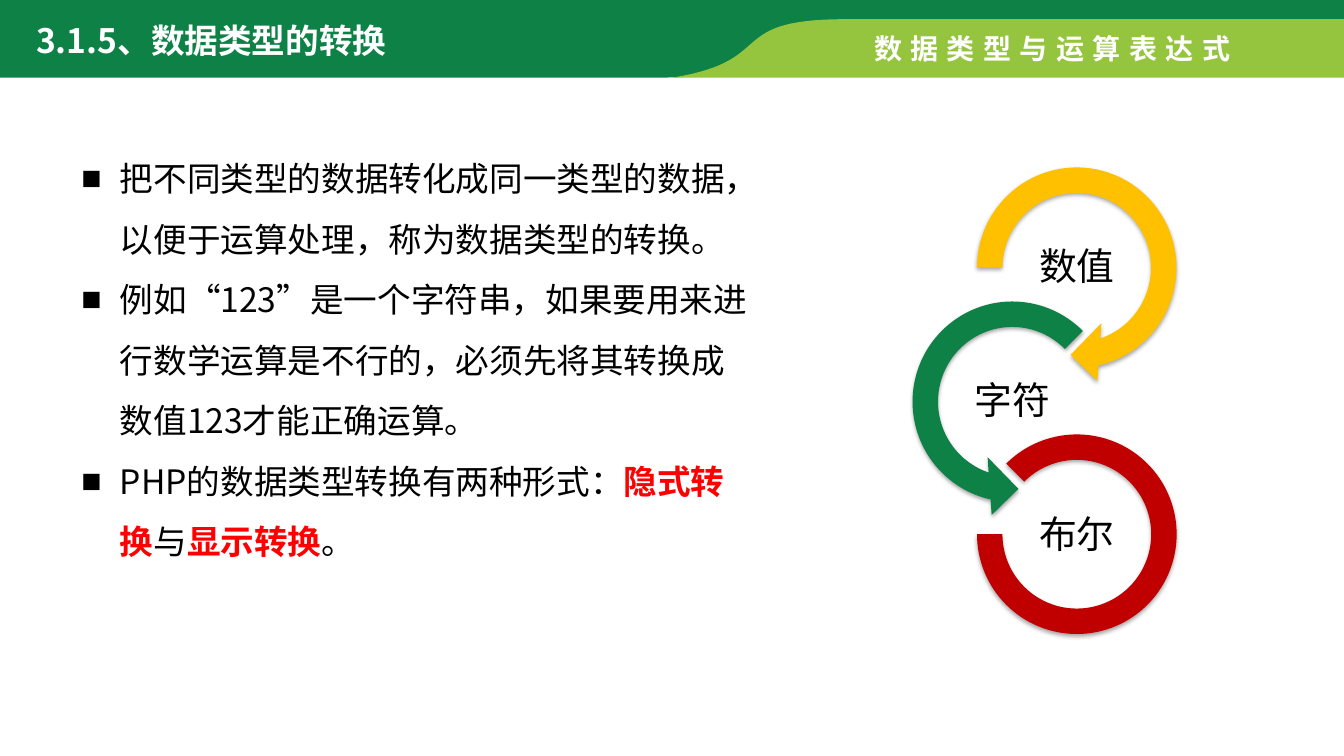
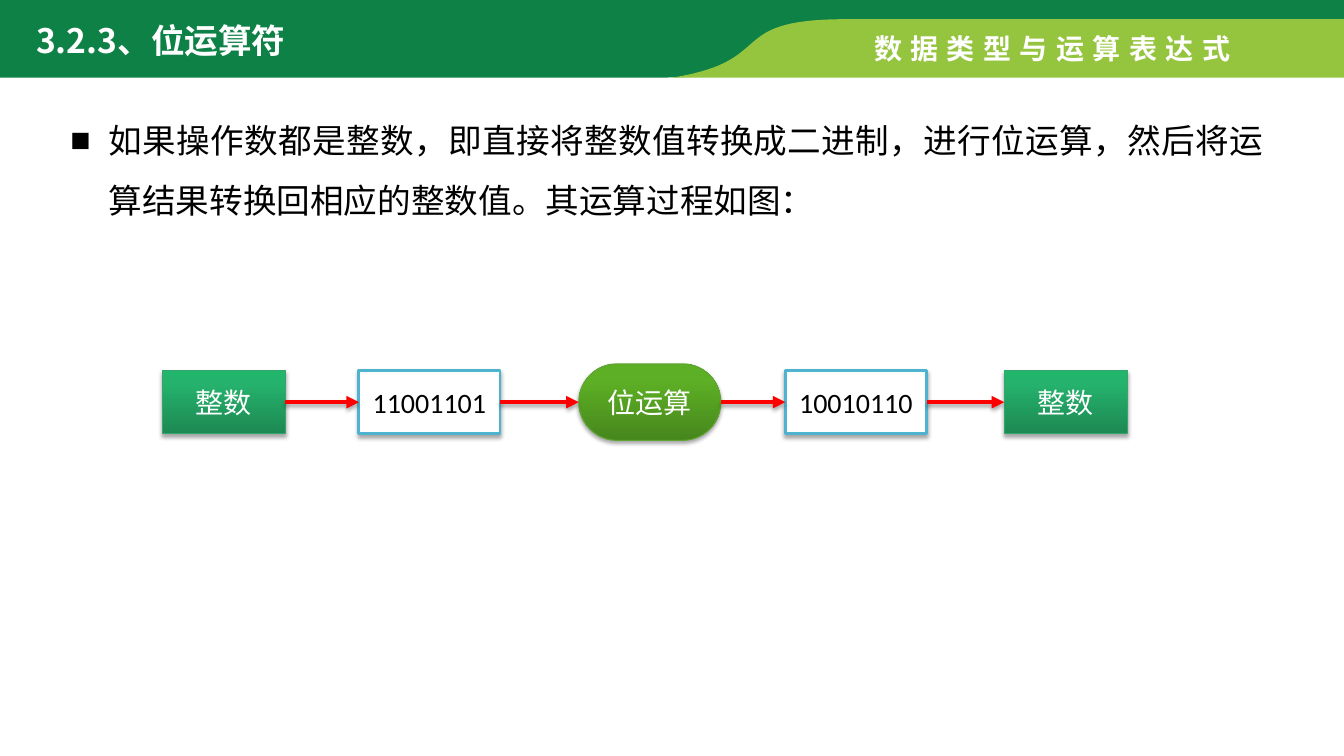
import copy
import itertools
from dataclasses import dataclass
from typing import Any, Optional

import lxml.etree
import pptx
import pptx.dml.color
import pptx.enum.shapes
import pptx.enum.text
import pptx.oxml.ns
import pptx.util

Inches = pptx.util.Inches
qn = pptx.oxml.ns.qn
SHAPES = pptx.enum.shapes.MSO_SHAPE
ALIGN = pptx.enum.text.PP_ALIGN
ANCHOR = pptx.enum.text.MSO_ANCHOR
Point = tuple[float, float]

COLORS = {
    "band": "0E8146",
    "wave": "95C53E",
    "white": "FFFFFF",
    "black": "000000",
    "red": "FF0000",
    "amber": "FFC000",
    "crimson": "C00000",
    "integer_edge": "33A66D",
    "binary_edge": "4EB3CF",
    "operator_edge": "60A433",
}
INTEGER_STOPS = ((0, "1D8953"), (0.8, "25B26C"), (1, "22B66C"))
OPERATOR_STOPS = ((0, "47871D"), (0.8, "5DB025"), (1, "5DB323"))
CJK_FONT = "Noto Sans CJK SC"
CHAPTER = "数据类型与运算表达式"
SLIDE_WIDTH, SLIDE_HEIGHT = 13.33, 7.5
BAND_BOTTOM = 0.77
FLOW_MIDDLE = 3.99


@dataclass(frozen=True)
class TextStyle:
    size: float
    font: str
    color: Optional[str] = "black"
    bold: Optional[bool] = None
    align: Optional[Any] = None
    line_spacing: Optional[float] = None
    tracking: float = 0


@dataclass(frozen=True)
class Ring:
    caption: str
    preset: Any
    color: str
    box: tuple[float, float, float, float]
    adjustments: tuple[float, ...]
    caption_at: Point


@dataclass(frozen=True)
class NodeKind:
    preset: Any
    width: float
    height: float
    edge: str
    edge_width: float
    text_color: str
    stops: tuple[tuple[float, str], ...] = ()


@dataclass(frozen=True)
class Node:
    label: str
    left: float
    kind: NodeKind


TITLE = TextStyle(24, CJK_FONT, "white", bold=True)
CHAPTER_STYLE = TextStyle(20, "Arial", "white", bold=True, tracking=6)
BODY = TextStyle(24, CJK_FONT, line_spacing=1.5)
BODY_MIXED = TextStyle(24, CJK_FONT, None, line_spacing=1.5)
BODY_JUSTIFIED = TextStyle(24, CJK_FONT, align=ALIGN.JUSTIFY, line_spacing=1.5)
RING_CAPTION = TextStyle(27, "Arial", align=ALIGN.CENTER, line_spacing=0.9)

RINGS = (
    Ring("数值", SHAPES.CIRCULAR_ARROW, "amber", (9.53, 1.5, 2.3, 2.31),
         (0.1098, 11.42322, 45, 108, 0.125), (10.04, 2.34)),
    Ring("字符", SHAPES.LEFT_CIRCULAR_ARROW, "band", (8.89, 2.83, 2.3, 2.31),
         (0.1098, 11.42322, 63, 189, 0.125), (9.4, 3.67)),
    Ring("布尔", SHAPES.BLOCK_ARC, "crimson", (9.69, 4.31, 1.98, 1.98),
         (135, 108, 0.1274), (10.04, 5)),
)

INTEGER = NodeKind(SHAPES.RECTANGLE, 1.22, 0.63, "integer_edge", 0.75, "white", INTEGER_STOPS)
BINARY = NodeKind(SHAPES.RECTANGLE, 1.4, 0.63, "binary_edge", 2, "black")
OPERATOR = NodeKind(SHAPES.ROUNDED_RECTANGLE, 1.41, 0.76, "operator_edge", 0.75, "white",
                    OPERATOR_STOPS)
FLOW = (
    Node("整数", 1.61, INTEGER),
    Node("11001101", 3.56, BINARY),
    Node("位运算", 5.74, OPERATOR),
    Node("10010110", 7.79, BINARY),
    Node("整数", 9.96, INTEGER),
)


def rgb(name: str) -> pptx.dml.color.RGBColor:
    return pptx.dml.color.RGBColor.from_string(COLORS.get(name, name))


def style_paragraph(paragraph: Any, style: TextStyle) -> None:
    font = paragraph.font
    font.size = pptx.util.Pt(style.size)
    font.name = style.font
    font.bold = style.bold
    if style.color:
        font.color.rgb = rgb(style.color)
    if style.align is not None:
        paragraph.alignment = style.align
    if style.line_spacing:
        paragraph.line_spacing = style.line_spacing
    defaults = paragraph._p.get_or_add_pPr().get_or_add_defRPr()
    if style.tracking:
        defaults.set("spc", str(round(style.tracking * 100)))
    if style.font == CJK_FONT:
        lxml.etree.SubElement(defaults, qn("a:ea"), typeface=style.font)


def add_bullet(paragraph: Any) -> None:
    properties = paragraph._p.get_or_add_pPr()
    properties.set("marL", str(Inches(0.38)))
    properties.set("indent", str(-Inches(0.38)))
    lxml.etree.SubElement(properties, qn("a:buFont"), typeface="Arial")
    lxml.etree.SubElement(properties, qn("a:buChar"), char="■")


def add_text(slide: Any, text: str, left: float, top: float, width: float, height: float,
             style: TextStyle, wrap: bool = True) -> Any:
    frame = slide.shapes.add_textbox(
        Inches(left), Inches(top), Inches(width), Inches(height)).text_frame
    frame.word_wrap = wrap
    frame.text = text
    style_paragraph(frame.paragraphs[0], style)
    return frame


def add_bullets(slide: Any, items: list[str], left: float, top: float, width: float,
                height: float, style: TextStyle) -> Any:
    frame = add_text(slide, "\n".join(items), left, top, width, height, style)
    frame.auto_size = pptx.enum.text.MSO_AUTO_SIZE.SHAPE_TO_FIT_TEXT
    for paragraph in frame.paragraphs:
        properties = paragraph._p.get_or_add_pPr()
        for child in list(properties):
            properties.remove(child)
        add_bullet(paragraph)
        style_paragraph(paragraph, style)
    return frame


def add_shadow(shape: Any) -> None:
    properties = shape._element.spPr
    effects = properties.find(qn("a:effectLst"))
    if effects is None:
        effects = lxml.etree.SubElement(properties, qn("a:effectLst"))
    shadow = lxml.etree.SubElement(
        effects, qn("a:outerShdw"), blurRad=str(pptx.util.Pt(3.1)),
        dist=str(pptx.util.Pt(1.8)), dir="5400000", rotWithShape="0")
    color = lxml.etree.SubElement(shadow, qn("a:srgbClr"), val=COLORS["black"])
    lxml.etree.SubElement(color, qn("a:alpha"), val="35000")


def bezier(start: Point, first: Point, second: Point, end: Point, steps: int = 30) -> list[Point]:
    def blend(axis: int, t: float) -> float:
        u = 1 - t
        return (u ** 3 * start[axis] + 3 * u * u * t * first[axis]
                + 3 * u * t * t * second[axis] + t ** 3 * end[axis])

    return [(blend(0, i / steps), blend(1, i / steps)) for i in range(steps + 1)]


def add_outline(slide: Any, points: list[Point], color: str) -> None:
    corners = [(Inches(x), Inches(y)) for x, y in points]
    builder = slide.shapes.build_freeform(*corners[0])
    builder.add_line_segments(corners[1:], close=True)
    outline = builder.convert_to_shape()
    outline.shadow.inherit = False
    outline.fill.solid()
    outline.fill.fore_color.rgb = rgb(color)
    outline.line.fill.background()


def add_titled_slide(deck: Any, title: str) -> Any:
    slide = deck.slides.add_slide(deck.slide_layouts[6])
    band_curve = bezier((8.09, 0.28), (7.27, 0.44), (7.7, 0.77), (6.55, BAND_BOTTOM))
    add_outline(slide, [(0, 0), (SLIDE_WIDTH, 0), (SLIDE_WIDTH, 0.24), (8.27, 0.24),
                        *band_curve, (0, BAND_BOTTOM)], "band")
    wave_curve = bezier((6.67, BAND_BOTTOM), (7.73, 0.6), (7.17, 0.19), (8.39, 0.19))
    add_outline(slide, [*wave_curve, (SLIDE_WIDTH, 0.19), (SLIDE_WIDTH, BAND_BOTTOM)], "wave")
    add_text(slide, CHAPTER, 8.57, 0.26, 3.85, 0.44, CHAPTER_STYLE, wrap=False)
    add_text(slide, title, 0.26, 0.15, 3.77, 0.5, TITLE)
    return slide


def add_ring(slide: Any, ring: Ring) -> None:
    arc = slide.shapes.add_shape(ring.preset, *(Inches(length) for length in ring.box))
    for index, value in enumerate(ring.adjustments):
        arc.adjustments[index] = value
    arc.shadow.inherit = False
    arc.fill.solid()
    arc.fill.fore_color.rgb = rgb(ring.color)
    arc.line.fill.background()
    add_shadow(arc)
    frame = add_text(slide, ring.caption, *ring.caption_at, 1.28, 0.64, RING_CAPTION)
    frame.vertical_anchor = ANCHOR.MIDDLE
    frame.margin_left = frame.margin_right = Inches(0.02)
    frame.margin_top = frame.margin_bottom = Inches(0.02)


def add_node(slide: Any, node: Node) -> Any:
    kind = node.kind
    box = slide.shapes.add_shape(
        kind.preset, Inches(node.left), Inches(FLOW_MIDDLE - kind.height / 2),
        Inches(kind.width), Inches(kind.height))
    if kind.preset == SHAPES.ROUNDED_RECTANGLE:
        box.adjustments[0] = 0.5
    box.shadow.inherit = False
    if kind.stops:
        box.fill.gradient()
        box.fill.gradient_angle = 90
        stop_list = box._element.spPr.find(".//" + qn("a:gsLst"))
        stop_list.append(copy.deepcopy(stop_list[-1]))
        for stop, (position, color) in zip(box.fill.gradient_stops, kind.stops):
            stop.position = position
            stop.color.rgb = rgb(color)
    else:
        box.fill.solid()
        box.fill.fore_color.rgb = rgb("white")
    box.line.color.rgb = rgb(kind.edge)
    box.line.width = pptx.util.Pt(kind.edge_width)
    add_shadow(box)
    frame = box.text_frame
    frame.text = node.label
    frame.vertical_anchor = ANCHOR.MIDDLE
    style_paragraph(frame.paragraphs[0],
                    TextStyle(20, "Calibri", kind.text_color, align=ALIGN.CENTER))
    return box


def add_arrow(slide: Any, source: Any, target: Any) -> None:
    arrow = slide.shapes.add_connector(pptx.enum.shapes.MSO_CONNECTOR.STRAIGHT, 0, 0, 0, 0)
    arrow.begin_connect(source, 3)
    arrow.end_connect(target, 1)
    arrow.line.color.rgb = rgb("red")
    arrow.line.width = pptx.util.Pt(3)
    lxml.etree.SubElement(arrow.line._get_or_add_ln(), qn("a:tailEnd"), type="triangle")
    add_shadow(arrow)


def build_conversion(deck: Any) -> None:
    slide = add_titled_slide(deck, "3.1.5、数据类型的转换")
    frame = add_bullets(slide, [
        "把不同类型的数据转化成同一类型的数据，以便于运算处理，称为数据类型的转换。",
        "例如“123”是一个字符串，如果要用来进行数学运算是不行的，必须先将其转换成数值123才能正确运算。",
    ], 0.71, 1.32, 6.85, 4.34, BODY)
    forms = frame.add_paragraph()
    add_bullet(forms)
    style_paragraph(forms, BODY_MIXED)
    for text, emphasized in (("PHP的数据类型转换有两种形式：", False), ("隐式转换", True),
                             ("与", False), ("显示转换", True), ("。", False)):
        run = forms.add_run()
        run.text = text
        run.font.bold = emphasized
        run.font.color.rgb = rgb("red" if emphasized else "black")
    for ring in RINGS:
        add_ring(slide, ring)


def build_bitwise(deck: Any) -> None:
    slide = add_titled_slide(deck, "3.2.3、位运算符")
    add_bullets(slide, [
        "如果操作数都是整数，即直接将整数值转换成二进制，进行位运算，然后将运算结果转换回相应的整数值。其运算过程如图：",
    ], 0.6, 0.94, 12.03, 1.22, BODY_JUSTIFIED)
    boxes = [add_node(slide, node) for node in FLOW]
    for source, target in itertools.pairwise(boxes):
        add_arrow(slide, source, target)


def main() -> None:
    deck = pptx.Presentation()
    deck.slide_width = Inches(SLIDE_WIDTH)
    deck.slide_height = Inches(SLIDE_HEIGHT)
    build_conversion(deck)
    build_bitwise(deck)
    deck.save("out.pptx")


if __name__ == "__main__":
    main()
